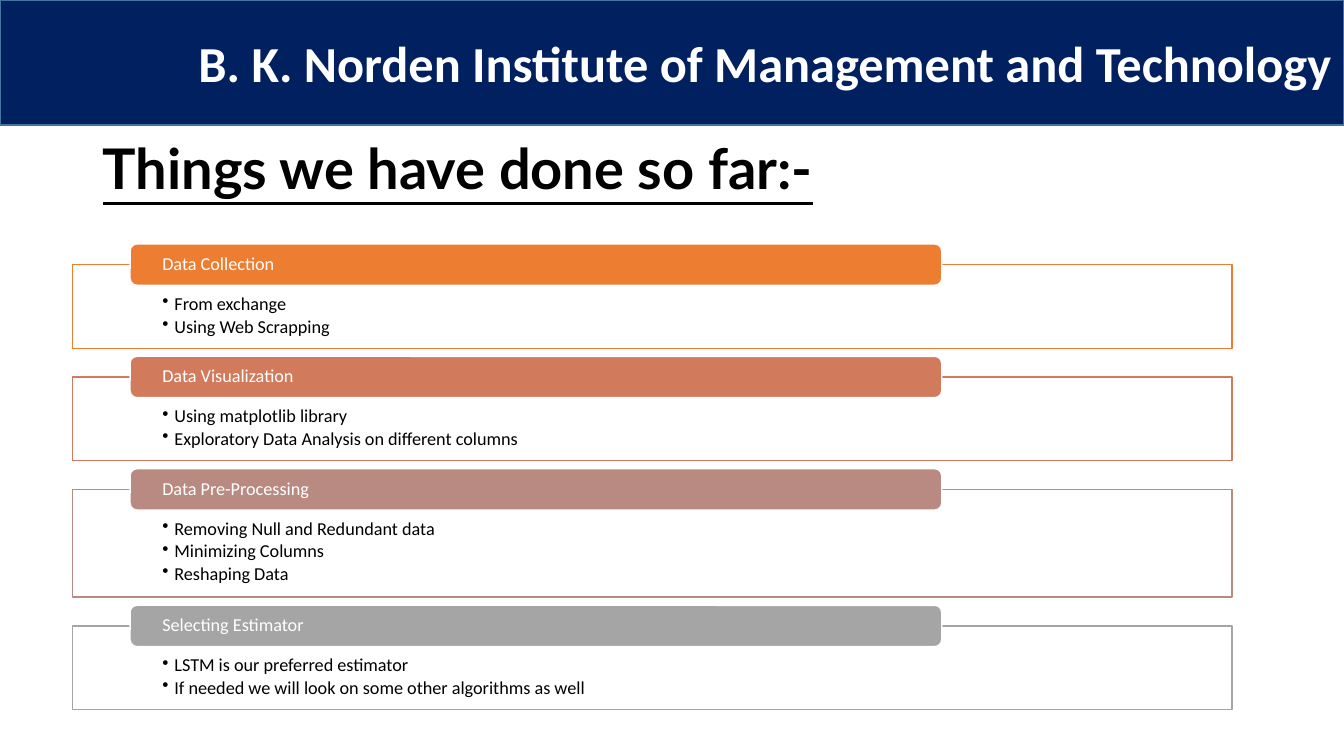
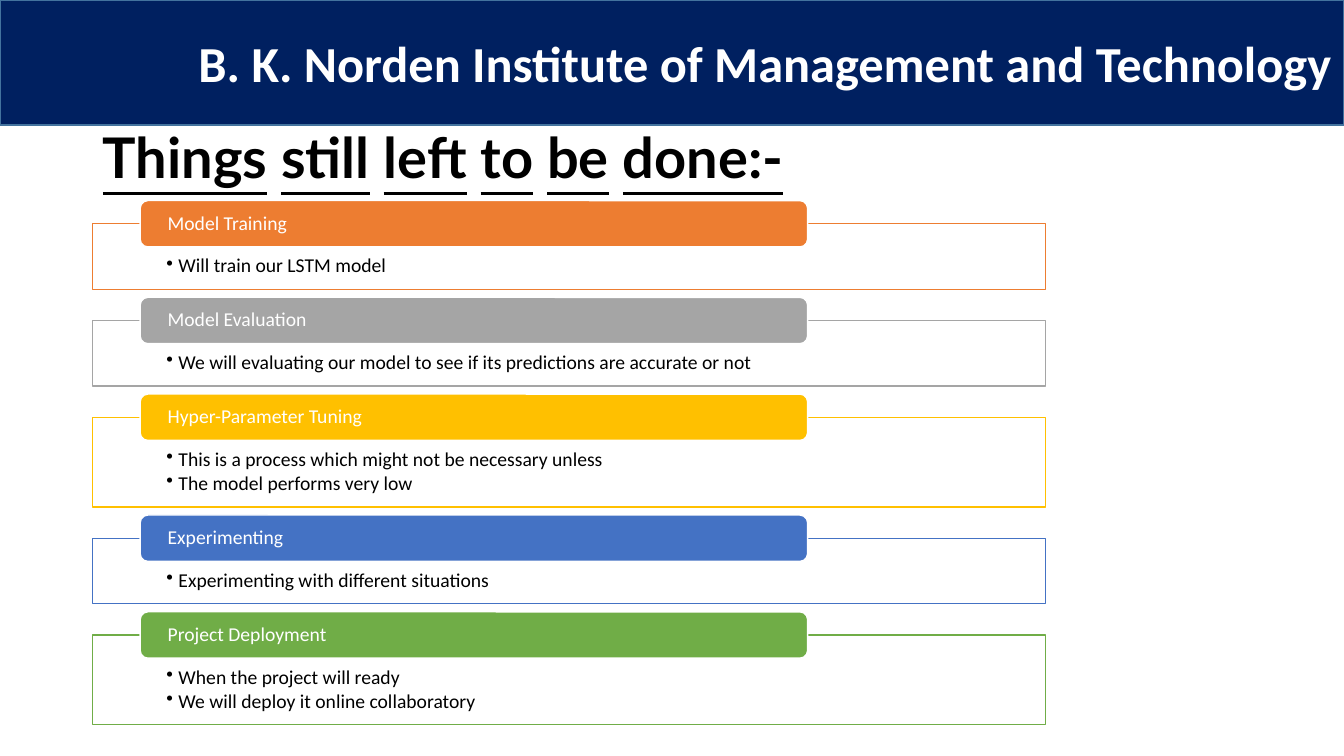
import pptx
import pptx.util
import pptx.dml.color
import pptx.enum.shapes
import pptx.enum.text
import lxml.etree
from pptx.util import Inches

RGBColor = pptx.dml.color.RGBColor
NAVY = RGBColor(0x00, 0x20, 0x60)
STEEL = RGBColor(0x43, 0x73, 0x9E)
WHITE = RGBColor(0xFF, 0xFF, 0xFF)
BLACK = RGBColor(0x00, 0x00, 0x00)
ORANGE = RGBColor(0xED, 0x7D, 0x31)
TERRACOTTA = RGBColor(0xD1, 0x7B, 0x5C)
ROSE = RGBColor(0xB9, 0x8A, 0x82)
GRAY = RGBColor(0xA5, 0xA5, 0xA5)
GOLD = RGBColor(0xFF, 0xC0, 0x00)
BLUE = RGBColor(0x44, 0x72, 0xC4)
GREEN = RGBColor(0x70, 0xAD, 0x47)

BODY_FONT = "Calibri"
TITLE_FONT = "Lato"
INSTITUTE = "B. K. Norden Institute of Management and Technology"
BULLET_HEIGHT = 0.24
BULLET_INDENT = Inches(0.12)
GAP = 0.08

SLIDES = [
    {
        "title_parts": ["Things we have done so far:-"],
        "title_box": (0.92, 1.3, 11.5, 0.8),
        "top": 2.42, "size": 13,
        "frame_left": 0.72, "frame_width": 11.5, "frame_base": 0.35,
        "frame_inset": 0.89, "frame_top_inset": 0.3,
        "header_left": 1.29, "header_width": 8.05, "header_height": 0.41,
        "header_inset": 0.3,
        "sections": [
            ("Data Collection", ORANGE, ["From exchange", "Using Web Scrapping"]),
            ("Data Visualization", TERRACOTTA,
             ["Using matplotlib library", "Exploratory Data Analysis on different columns"]),
            ("Data Pre-Processing", ROSE,
             ["Removing Null and Redundant data", "Minimizing Columns", "Reshaping Data"]),
            ("Selecting Estimator", GRAY,
             ["LSTM is our preferred estimator",
              "If needed we will look on some other algorithms as well"]),
        ],
    },
    {
        "title_parts": ["Things", "still", "left", "to", "be", "done:-"],
        "title_box": (0.92, 1.11, 11.5, 0.93),
        "top": 1.99, "size": 14,
        "frame_left": 0.92, "frame_width": 9.45, "frame_base": 0.41,
        "frame_inset": 0.73, "frame_top_inset": 0.32,
        "header_left": 1.39, "header_width": 6.62, "header_height": 0.46,
        "header_inset": 0.25,
        "sections": [
            ("Model Training", ORANGE, ["Will train our LSTM model"]),
            ("Model Evaluation", GRAY,
             ["We will evaluating our model to see if its predictions are accurate or not"]),
            ("Hyper-Parameter Tuning", GOLD,
             ["This is a process which might not be necessary unless",
              "The model performs very low"]),
            ("Experimenting", BLUE, ["Experimenting with different situations"]),
            ("Project Deployment", GREEN,
             ["When the project will ready", "We will deploy it online collaboratory"]),
        ],
    },
]


def add_box(slide, kind, box, fill, line):
    shape = slide.shapes.add_shape(kind, *(Inches(length) for length in box))
    shape.shadow.inherit = False
    shape.fill.solid()
    shape.fill.fore_color.rgb = fill
    shape.line.color.rgb = line
    shape.line.width = pptx.util.Pt(1)
    return shape


def write_text(shape, lines, size, color, inset, top_inset, anchor):
    text_frame = shape.text_frame
    text_frame.word_wrap = True
    text_frame.vertical_anchor = anchor
    text_frame.margin_left = text_frame.margin_right = Inches(inset)
    text_frame.margin_top = Inches(top_inset)
    text_frame.margin_bottom = 0
    text_frame.text = "\n".join(lines)
    for paragraph in text_frame.paragraphs:
        paragraph.alignment = pptx.enum.text.PP_ALIGN.LEFT
        paragraph.line_spacing = 0.9
        font = paragraph.runs[0].font
        font.name = BODY_FONT
        font.size = pptx.util.Pt(size)
        font.color.rgb = color


presentation = pptx.Presentation()
presentation.slide_width = Inches(13.33)
presentation.slide_height = Inches(7.5)
layout = presentation.slide_layouts[5]
slides = [presentation.slides.add_slide(layout) for content in SLIDES]
kinds = pptx.enum.shapes.MSO_SHAPE
anchors = pptx.enum.text.MSO_ANCHOR

band = add_box(slides[0], kinds.RECTANGLE, (0, 0, 13.33, 1.24), NAVY, STEEL)
banner = slides[0].shapes.add_textbox(Inches(1.87), Inches(0.27), Inches(11.66), Inches(0.71))
banner.text_frame.word_wrap = True
banner.text_frame.text = INSTITUTE
banner_font = banner.text_frame.paragraphs[0].runs[0].font
banner_font.name = BODY_FONT
banner_font.size = pptx.util.Pt(36)
banner_font.bold = True
banner_font.color.rgb = WHITE
for shape in (band, banner):
    layout.shapes.element.append(shape.element)

for slide, content in zip(slides, SLIDES):
    title = slide.shapes.title
    title.left, title.top, title.width, title.height = map(Inches, content["title_box"])
    title.text_frame.vertical_anchor = anchors.MIDDLE
    title.text_frame.auto_size = pptx.enum.text.MSO_AUTO_SIZE.NONE
    paragraph = title.text_frame.paragraphs[0]
    paragraph.alignment = pptx.enum.text.PP_ALIGN.LEFT
    paragraph.line_spacing = 0.9
    for index, part in enumerate(content["title_parts"]):
        if index:
            space = paragraph.add_run()
            space.text = " "
            space.font.name = BODY_FONT
            space.font.size = pptx.util.Pt(44)
        run = paragraph.add_run()
        run.text = part
        run.font.name = TITLE_FONT
        run.font.size = pptx.util.Pt(40)
        run.font.bold = True
        run.font.underline = True
        run.font.color.rgb = BLACK

    header_top = content["top"]
    header_height = content["header_height"]
    for heading, color, bullets in content["sections"]:
        frame_top = header_top + header_height / 2
        frame_height = content["frame_base"] + BULLET_HEIGHT * len(bullets)
        frame = add_box(
            slide, kinds.RECTANGLE,
            (content["frame_left"], frame_top, content["frame_width"], frame_height),
            WHITE, color)
        write_text(frame, bullets, content["size"], BLACK, content["frame_inset"],
                   content["frame_top_inset"], anchors.TOP)
        for paragraph in frame.text_frame.paragraphs:
            paragraph.space_after = pptx.util.Pt(2)
            properties = paragraph._p.get_or_add_pPr()
            properties.set("marL", str(BULLET_INDENT))
            properties.set("indent", str(-BULLET_INDENT))
            bullet = lxml.etree.SubElement(properties, pptx.oxml.ns.qn("a:buChar"))
            bullet.set("char", "•")

        header = add_box(
            slide, kinds.ROUNDED_RECTANGLE,
            (content["header_left"], header_top, content["header_width"], header_height),
            color, WHITE)
        write_text(header, [heading], content["size"], WHITE, content["header_inset"],
                   0, anchors.MIDDLE)
        header_top = frame_top + frame_height + GAP

presentation.save("out.pptx")
